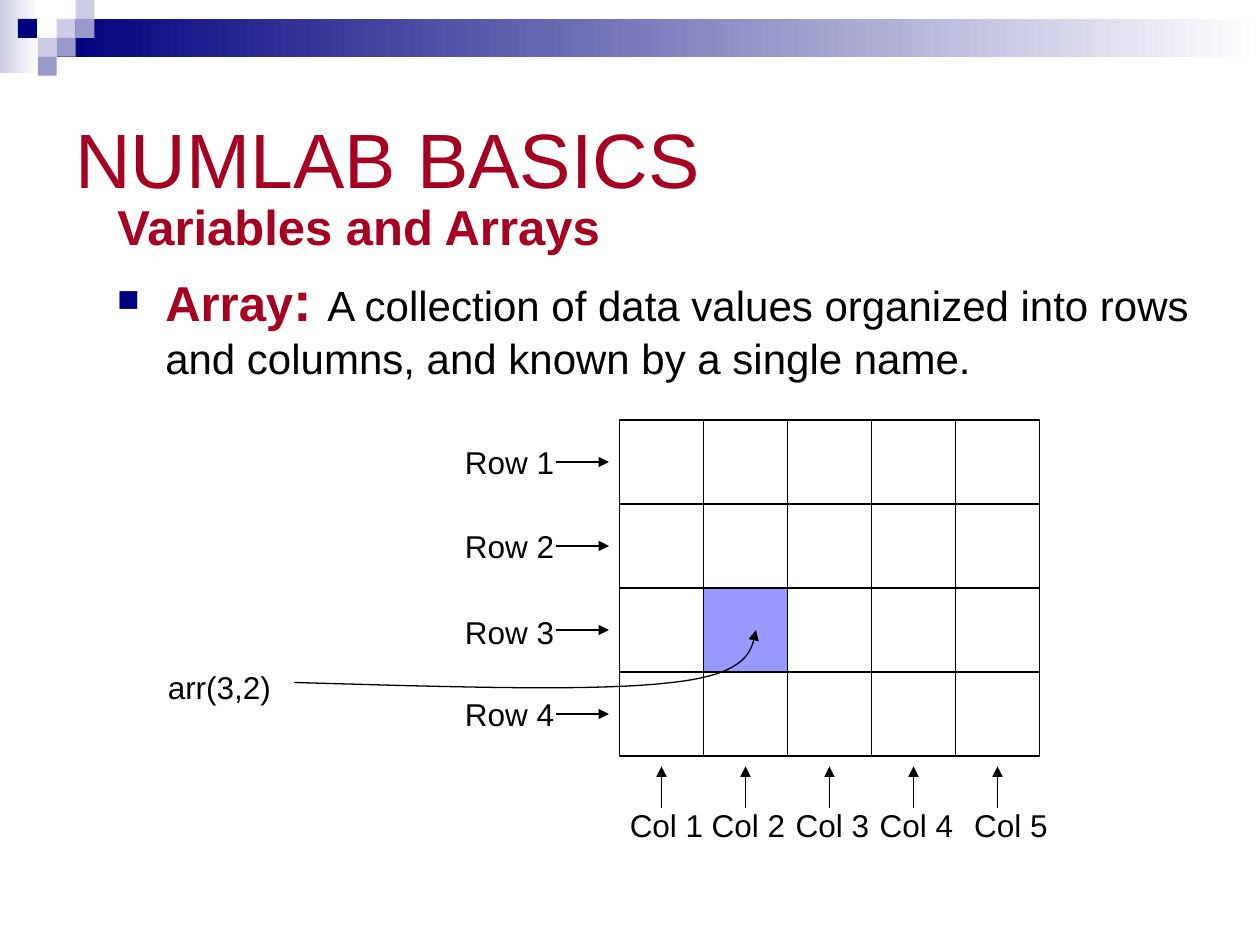
from lxml import etree
from pptx import Presentation
from pptx import util as u
from pptx.dml.color import RGBColor
from pptx.enum import shapes, text
from pptx.oxml import ns

NAVY = RGBColor(0x00, 0x00, 0x7D)
LAVENDER = RGBColor(0xCC, 0xCC, 0xE6)
PERIWINKLE = RGBColor(0x99, 0x99, 0xCC)
HIGHLIGHT = RGBColor(0x99, 0x99, 0xFF)
CRIMSON = RGBColor(0xA5, 0x00, 0x21)
BLACK = RGBColor(0, 0, 0)
WHITE = RGBColor(0xFF, 0xFF, 0xFF)

COLUMNS, ROWS = 120, 90
CELL = 8
ARRAY_LEFT, ARRAY_TOP = 59, 40
ARRAY_COLS, ARRAY_ROWS = 5, 4
SQUARE = 1.8


def add_xml(parent, tag, **values):
    node = etree.SubElement(parent, ns.qn(tag))
    for key, value in values.items():
        node.set(key, value)
    return node


def bezier(start, c1, c2, end, steps=16):
    for step in range(1, steps + 1):
        t = step / steps
        s = 1 - t
        yield tuple(s**3 * a + 3 * s * s * t * b + 3 * s * t * t * c + t**3 * d
                    for a, b, c, d in zip(start, c1, c2, end))


class SlideBuilder:
    font_name = "Arial"
    line_width = 0.75
    label_size = 18

    def __init__(self, deck):
        deck.slide_width, deck.slide_height = u.Inches(10), u.Inches(7.5)
        self.slide = deck.slides.add_slide(deck.slide_layouts[6])
        self.unit_x = deck.slide_width / COLUMNS
        self.unit_y = deck.slide_height / ROWS

    def place(self, x, y):
        return round(x * self.unit_x), round(y * self.unit_y)

    def outline(self, item):
        item.line.color.rgb = BLACK
        item.line.width = u.Pt(self.line_width)

    def arrowhead(self, item):
        add_xml(item.line._get_or_add_ln(), "a:tailEnd", type="triangle")

    def rect(self, x, y, width, height, fill=None, fade=False, outlined=False):
        box = self.slide.shapes.add_shape(
            shapes.MSO_SHAPE.RECTANGLE, *self.place(x, y), *self.place(width, height))
        box.shadow.inherit = False
        if fade:
            box.fill.gradient()
            box.fill.gradient_angle = 0
            for stop, color in zip(box.fill.gradient_stops, (fill, WHITE)):
                stop.color.rgb = color
        elif fill is not None:
            box.fill.solid()
            box.fill.fore_color.rgb = fill
        else:
            box.fill.background()
        if outlined:
            self.outline(box)
        else:
            box.line.fill.background()

    def text_frame(self, x, y, width, height, **settings):
        frame = self.slide.shapes.add_textbox(
            *self.place(x, y), *self.place(width, height)).text_frame
        for key, value in {"word_wrap": True, **settings}.items():
            setattr(frame, key, value)
        return frame

    def run(self, paragraph, words, color=BLACK, **settings):
        run = paragraph.add_run()
        run.text = words
        for key, value in {"name": self.font_name, **settings}.items():
            setattr(run.font, key, value)
        run.font.color.rgb = color

    def label(self, words, x, y, width):
        frame = self.text_frame(x, y, width, 4.8, word_wrap=False,
                                auto_size=text.MSO_AUTO_SIZE.SHAPE_TO_FIT_TEXT)
        self.run(frame.paragraphs[0], words, size=u.Pt(self.label_size))

    def bullet(self, paragraph):
        props = paragraph._p.get_or_add_pPr()
        indent = u.Inches(0.38)
        props.set("marL", str(indent))
        props.set("indent", str(-indent))
        add_xml(add_xml(props, "a:buClr"), "a:srgbClr", val=str(NAVY))
        add_xml(props, "a:buSzPct", val="75000")
        add_xml(props, "a:buFont", typeface=self.font_name)
        add_xml(props, "a:buChar", char="■")

    def arrow(self, start, end):
        line = self.slide.shapes.add_connector(
            shapes.MSO_CONNECTOR.STRAIGHT, *self.place(*start), *self.place(*end))
        self.outline(line)
        self.arrowhead(line)
        add_xml(line._element.spPr, "a:effectLst")

    def curved_arrow(self, start, *segments):
        outline = self.slide.shapes.build_freeform(*self.place(*start))
        for c1, c2, end in segments:
            points = [self.place(*point) for point in bezier(start, c1, c2, end)]
            outline.add_line_segments(points, close=False)
            start = end
        curve = outline.convert_to_shape()
        curve.shadow.inherit = False
        curve.fill.background()
        self.outline(curve)
        self.arrowhead(curve)


def main():
    deck = Presentation()
    page = SlideBuilder(deck)

    page.rect(0, 0, 3.7, 7, LAVENDER, fade=True)
    page.rect(5.4, SQUARE, 114.6, 3.6, NAVY, fade=True)
    for col, row, color in (
            (3, 1, LAVENDER), (4, 0, LAVENDER), (4, 1, PERIWINKLE), (2, 2, LAVENDER),
            (0.95, 1, NAVY), (3, 2, PERIWINKLE), (2, 3, PERIWINKLE)):
        page.rect(col * SQUARE, row * SQUARE, SQUARE, SQUARE, color)

    title = page.text_frame(6, 6, 108, 18, vertical_anchor=text.MSO_ANCHOR.MIDDLE)
    page.run(title.paragraphs[0], "NUMLAB BASICS", CRIMSON, size=u.Pt(44))

    body = page.text_frame(10, 18.1, 104.8, 61.9)
    page.run(body.paragraphs[0], "Variables and Arrays", CRIMSON, size=u.Pt(28), bold=True)
    definition = body.add_paragraph()
    page.bullet(definition)
    definition.space_before = u.Pt(6)
    page.run(definition, "Array", CRIMSON, size=u.Pt(28), bold=True)
    page.run(definition, ": ", CRIMSON, size=u.Pt(32), bold=True)
    page.run(definition, "A collection of data values organized into rows and columns, "
             "and known by a single name.", size=u.Pt(24))

    for row in range(ARRAY_ROWS):
        for col in range(ARRAY_COLS):
            fill = HIGHLIGHT if (row + 1, col + 1) == (3, 2) else None
            page.rect(ARRAY_LEFT + col * CELL, ARRAY_TOP + row * CELL, CELL, CELL,
                      fill, outlined=True)

    for row, label_top in enumerate((41.6, 49.6, 57.8, 65.6)):
        middle = ARRAY_TOP + (row + 0.5) * CELL
        page.label(f"Row {row + 1}", 43.1, label_top, 10.9)
        page.arrow((53, middle), (58, middle))

    for col, label_left in enumerate((58.8, 66.6, 74.6, 82.6, 91.6)):
        middle = ARRAY_LEFT + (col + 0.5) * CELL
        page.label(f"Col {col + 1}", label_left, 76.2, 9.4)
        page.arrow((middle, 77), (middle, 73))

    page.curved_arrow((28, 65), ((42.4, 65.4), (56.6, 65.9), (64, 65)),
                      ((71.3, 64.2), (71.6, 62), (72, 60)))
    page.label("arr(3,2)", 14.8, 63, 12.2)

    deck.save("out.pptx")


if __name__ == "__main__":
    main()
